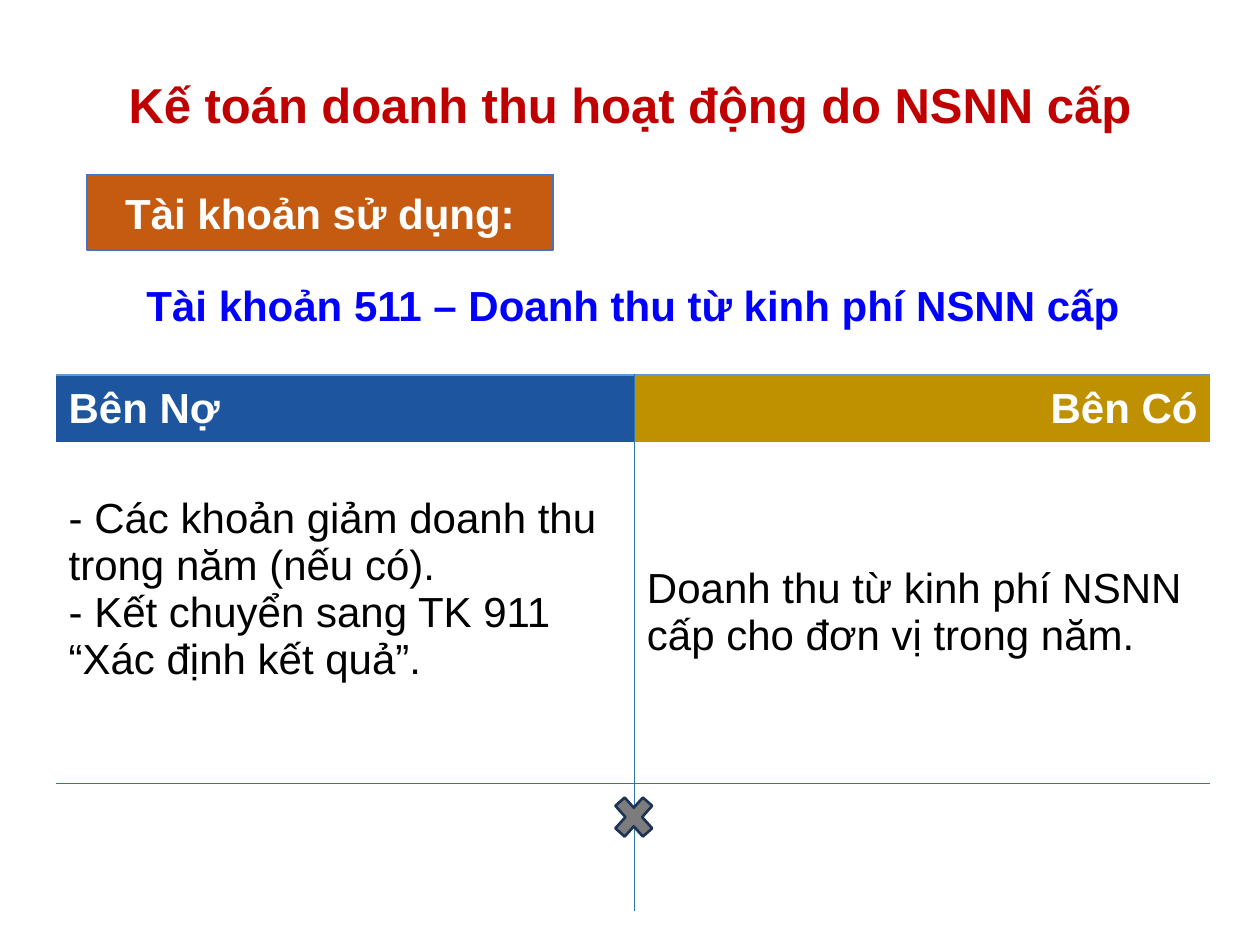
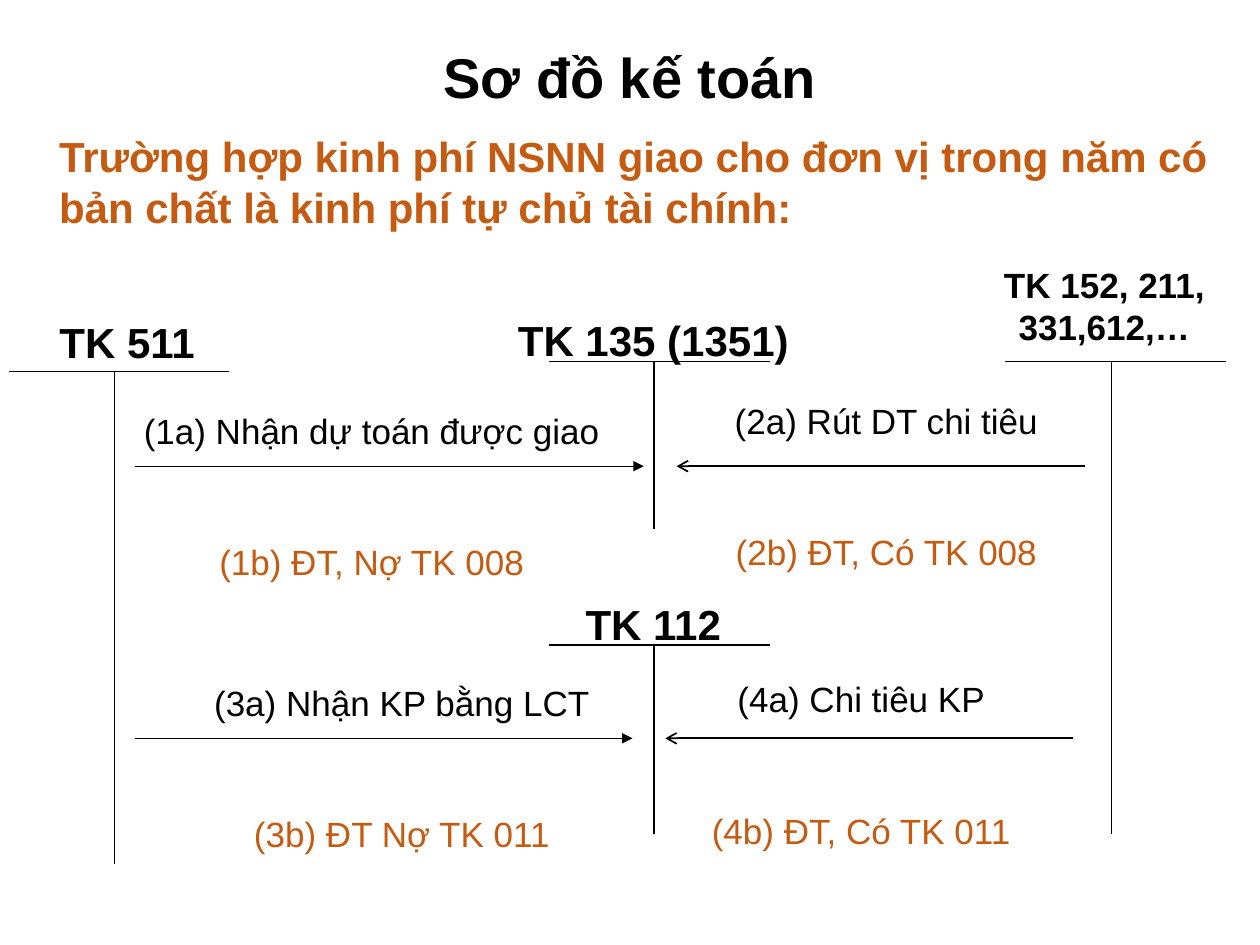
from dataclasses import dataclass

from lxml import etree
from pptx import Presentation
from pptx import util as u
from pptx.dml.color import RGBColor
from pptx.enum import shapes, text
from pptx.oxml import ns

COLUMNS, ROWS = 100, 75
CELL = u.Inches(0.1)
LEFT, CENTER, RIGHT = text.PP_ALIGN.LEFT, text.PP_ALIGN.CENTER, text.PP_ALIGN.RIGHT
PLAIN_TABLE = "{2D5ABB26-0587-4C30-8999-92F81FD0307C}"


@dataclass(frozen=True)
class Theme:
    font: str = "Arial"
    ink: str = "000000"
    white: str = "FFFFFF"
    red: str = "C00000"
    orange: str = "C55A11"
    blue: str = "0000FF"
    debit: str = "1D559F"
    credit: str = "BF9000"
    rule: str = "2E75B6"
    title_rule: str = "5B9BD5"
    label_edge: str = "4472C4"
    cross: str = "7C7C7C"
    cross_edge: str = "1E3256"
    diagram_title: int = 32
    title: int = 28
    heading: int = 24
    body: int = 20
    entry_gap: int = 51
    thin: float = 0.75
    medium: float = 1
    thick: float = 1.5


THEME = Theme()


@dataclass(frozen=True)
class Area:
    column: float
    row: float
    width: float
    height: float

    def lengths(self) -> tuple[int, ...]:
        return tuple(map(grid, (self.column, self.row, self.width, self.height)))


@dataclass(frozen=True)
class Style:
    size: int = THEME.heading
    color: str = THEME.ink
    bold: bool = False
    align: text.PP_ALIGN = LEFT


@dataclass(frozen=True)
class TableCell:
    row: int
    column: int
    lines: tuple[str, ...]
    style: Style = Style()
    fill: str = ""
    edges: str = ""
    edge_color: str = THEME.rule
    bottom: float = 0.5


@dataclass(frozen=True)
class Account:
    name: str
    label: Area
    bar_column: float
    bar_row: float
    stem_column: float
    stem_end: float
    size: int = THEME.heading
    wrap: bool = True
    stem_weight: float = THEME.thin


@dataclass(frozen=True)
class Entry:
    posting: str
    memo: str
    label: Area
    start: float
    end: float
    row: float
    head: str = "triangle"
    weight: float = THEME.thin


POSTING = Style(THEME.body, align=CENTER)
MEMO = Style(THEME.body, THEME.orange, align=CENTER)
BAR_WIDTH = 17.5

LEDGER = Area(4.45, 18.87, 91.6, 53.4)
LEDGER_COLUMNS = (45.9, 45.7)
LEDGER_ROWS = (10.9, 5.3, 27.1, 10.1)
LEDGER_CELLS = (
    TableCell(0, 0, ("Tài khoản 511 – Doanh thu từ kinh phí NSNN cấp",),
              Style(color=THEME.blue, bold=True, align=CENTER),
              edges="B", edge_color=THEME.title_rule),
    TableCell(0, 1, (), edges="B", edge_color=THEME.title_rule),
    TableCell(1, 0, ("Bên Nợ",), Style(color=THEME.white, bold=True), THEME.debit, "R"),
    TableCell(1, 1, ("Bên Có",), Style(color=THEME.white, bold=True, align=RIGHT),
              THEME.credit, "L"),
    TableCell(2, 0, ("- Các khoản giảm doanh thu trong năm (nếu có).",
                     "- Kết chuyển sang TK 911 “Xác định kết quả”."),
              edges="RB", bottom=4.2),
    TableCell(2, 1, ("Doanh thu từ kinh phí NSNN cấp cho đơn vị trong năm.",), edges="LB"),
    TableCell(3, 0, (), edges="RT"),
    TableCell(3, 1, (), edges="LT"),
)

ACCOUNTS = (
    Account("TK 511", Area(0.1, 24.6, 20, 5), 0.7, 29.5, 9.1, 68.6),
    Account("TK 135 (1351)", Area(40.1, 24.5, 23.5, 5), 43.6, 28.7, 51.9, 42,
            wrap=False, stem_weight=THEME.medium),
    Account("TK 112", Area(45, 47, 13.7, 5), 43.6, 51.2, 51.9, 66.2, wrap=False),
    Account("TK 152, 211, 331,612,…", Area(76.1, 20.4, 23.1, 7.7), 79.8, 28.7, 88.2, 66.2,
            size=THEME.body),
)

ENTRIES = (
    Entry("(1a) Nhận dự toán được giao", "(1b) ĐT, Nợ TK 008",
          Area(7.9, 32, 43.2, 13.3), 10.7, 51.1, 37),
    Entry("(2a) Rút DT chi tiêu", "(2b) ĐT, Có TK 008",
          Area(55.3, 31.2, 30.1, 13.3), 86.1, 53.7, 37, "arrow", THEME.medium),
    Entry("(3a) Nhận KP bằng LCT", "(3b) ĐT Nợ TK 011",
          Area(14.4, 53.6, 35, 13.3), 10.7, 50.2, 58.6),
    Entry("(4a) Chi tiêu KP", "(4b) ĐT, Có TK 011",
          Area(54.4, 53.3, 27.9, 13.3), 85.2, 52.8, 58.6, "arrow", THEME.medium),
)


def grid(cells: float) -> int:
    return round(cells * CELL)


def rgb(color: str) -> RGBColor:
    return RGBColor.from_string(color)


def write(para, words: str, style: Style) -> None:
    para.alignment = style.align
    span = para.add_run()
    span.text = words
    span.font.name = THEME.font
    span.font.size = u.Pt(style.size)
    span.font.bold = style.bold
    span.font.color.rgb = rgb(style.color)


def add_title(page, words: str, row: float, style: Style) -> None:
    title = page.shapes.title
    title.left, title.top, title.width, title.height = Area(6.9, row, 86.2, 6.9).lengths()
    frame = title.text_frame
    frame.auto_size = text.MSO_AUTO_SIZE.NONE
    frame.vertical_anchor = text.MSO_ANCHOR.MIDDLE
    para = frame.paragraphs[0]
    para.line_spacing = 0.9
    write(para, words, style)


def add_label(page, area: Area, words: str, style: Style, wrap: bool = True):
    box = page.shapes.add_textbox(*area.lengths())
    box.text_frame.word_wrap = wrap
    box.text_frame.auto_size = text.MSO_AUTO_SIZE.SHAPE_TO_FIT_TEXT
    write(box.text_frame.paragraphs[0], words, style)
    return box


def add_preset(page, kind, area: Area, fill: str, edge: str, weight: float):
    shape = page.shapes.add_shape(kind, *area.lengths())
    shape.shadow.inherit = False
    shape.fill.solid()
    shape.fill.fore_color.rgb = rgb(fill)
    shape.line.color.rgb = rgb(edge)
    shape.line.width = u.Pt(weight)
    return shape


def add_line(page, start: tuple[float, float], end: tuple[float, float],
             weight: float, head: str = "") -> None:
    line = page.shapes.add_connector(shapes.MSO_CONNECTOR.STRAIGHT, *map(grid, start + end))
    line.line.color.rgb = rgb(THEME.ink)
    line.line.width = u.Pt(weight)
    if head:
        outline = line._element.spPr.find(ns.qn("a:ln"))
        etree.SubElement(outline, ns.qn("a:tailEnd"), type=head)
    etree.SubElement(line._element.spPr, ns.qn("a:effectLst"))


def set_edges(cell, sides: str, color: str) -> None:
    properties = cell._tc.get_or_add_tcPr()
    ordered = [side for side in "LRTB" if side in sides]
    for place, side in enumerate(ordered):
        edge = etree.Element(ns.qn(f"a:ln{side}"), w=str(u.Pt(THEME.medium)))
        fill = etree.SubElement(edge, ns.qn("a:solidFill"))
        etree.SubElement(fill, ns.qn("a:srgbClr"), val=color)
        properties.insert(place, edge)


def fill_cell(cell, content: TableCell) -> None:
    cell.vertical_anchor = text.MSO_ANCHOR.MIDDLE
    cell.margin_bottom = grid(content.bottom)
    if content.fill:
        cell.fill.solid()
        cell.fill.fore_color.rgb = rgb(content.fill)
    else:
        cell.fill.background()
    set_edges(cell, content.edges, content.edge_color)
    frame = cell.text_frame
    for index, words in enumerate(content.lines):
        write(frame.add_paragraph() if index else frame.paragraphs[0], words, content.style)


def add_ledger(page) -> None:
    frame = page.shapes.add_table(len(LEDGER_ROWS), len(LEDGER_COLUMNS), *LEDGER.lengths())
    table = frame.table
    table.first_row = table.horz_banding = False
    table._tbl.tblPr.find(ns.qn("a:tableStyleId")).text = PLAIN_TABLE
    for column, width in zip(table.columns, LEDGER_COLUMNS):
        column.width = grid(width)
    for row, height in zip(table.rows, LEDGER_ROWS):
        row.height = grid(height)
    table.cell(0, 0).merge(table.cell(0, 1))
    for content in LEDGER_CELLS:
        fill_cell(table.cell(content.row, content.column), content)


def add_account(page, account: Account) -> None:
    bar = account.bar_row
    add_line(page, (account.bar_column, bar), (account.bar_column + BAR_WIDTH, bar), THEME.thin)
    add_line(page, (account.stem_column, bar), (account.stem_column, account.stem_end),
             account.stem_weight)
    style = Style(account.size, bold=True, align=CENTER)
    add_label(page, account.label, account.name, style, account.wrap)


def add_entry(page, entry: Entry) -> None:
    box = add_label(page, entry.label, entry.posting, POSTING)
    memo = box.text_frame.add_paragraph()
    memo.space_before = u.Pt(THEME.entry_gap)
    write(memo, entry.memo, MEMO)
    add_line(page, (entry.start, entry.row), (entry.end, entry.row), entry.weight, entry.head)


def build_account_page(deck) -> None:
    page = deck.slides.add_slide(deck.slide_layouts[5])
    add_title(page, "Kế toán doanh thu hoạt động do NSNN cấp", 5.1,
              Style(THEME.title, THEME.red, True, CENTER))
    add_ledger(page)
    add_preset(page, shapes.MSO_SHAPE.MATH_MULTIPLY, Area(48.2, 62.5, 4.2, 4.7),
               THEME.cross, THEME.cross_edge, THEME.thick)
    label = add_preset(page, shapes.MSO_SHAPE.RECTANGLE, Area(6.9, 13.85, 37, 6),
                       THEME.orange, THEME.label_edge, THEME.thin)
    label.text_frame.word_wrap = False
    label.text_frame.vertical_anchor = text.MSO_ANCHOR.MIDDLE
    write(label.text_frame.paragraphs[0], "Tài khoản sử dụng:",
          Style(color=THEME.white, bold=True, align=CENTER))


def build_diagram_page(deck) -> None:
    page = deck.slides.add_slide(deck.slide_layouts[5])
    add_title(page, "Sơ đồ kế toán", 2.9,
              Style(THEME.diagram_title, THEME.ink, True, CENTER))
    add_label(page, Area(3.7, 9.9, 93.8, 9.1),
              "Trường hợp kinh phí NSNN giao cho đơn vị trong năm có bản chất"
              " là kinh phí tự chủ tài chính:", Style(color=THEME.orange, bold=True))
    for account in ACCOUNTS:
        add_account(page, account)
    for entry in ENTRIES:
        add_entry(page, entry)


def main() -> None:
    deck = Presentation()
    deck.slide_width, deck.slide_height = grid(COLUMNS), grid(ROWS)
    build_account_page(deck)
    build_diagram_page(deck)
    deck.save("out.pptx")


if __name__ == "__main__":
    main()
